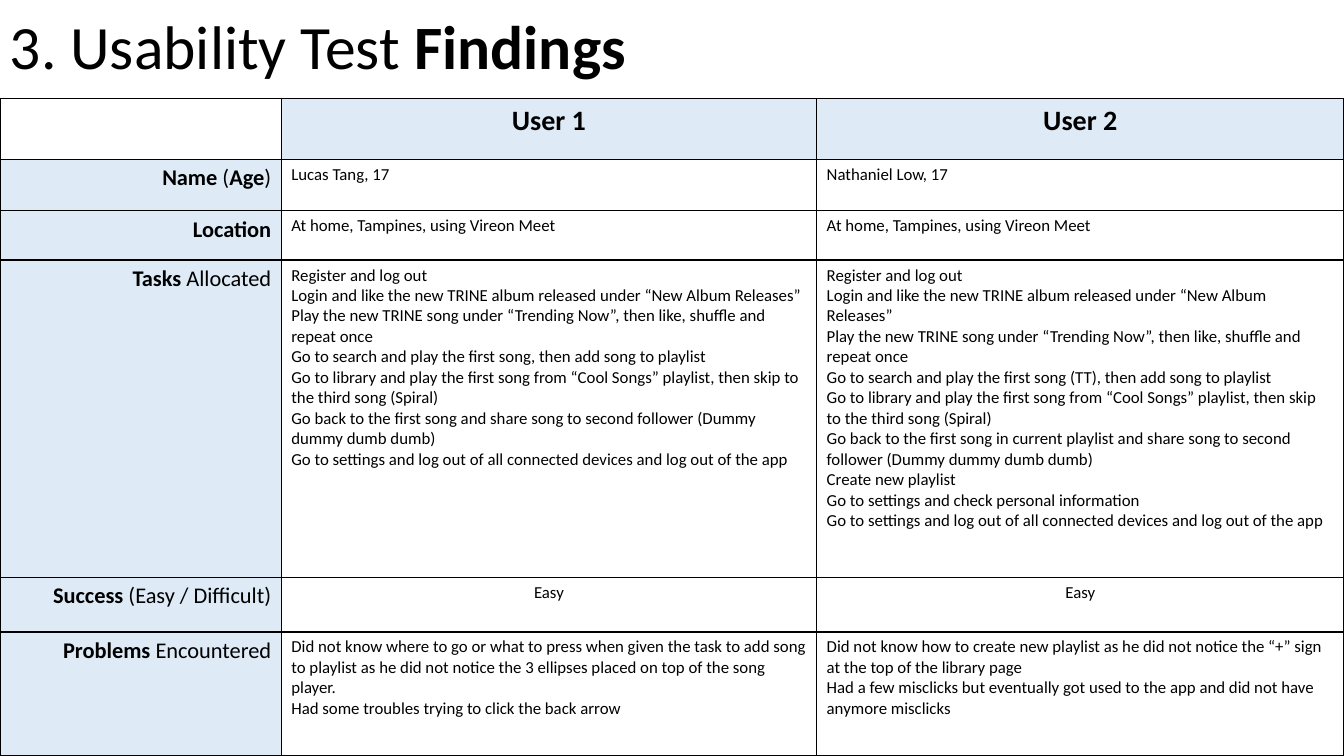
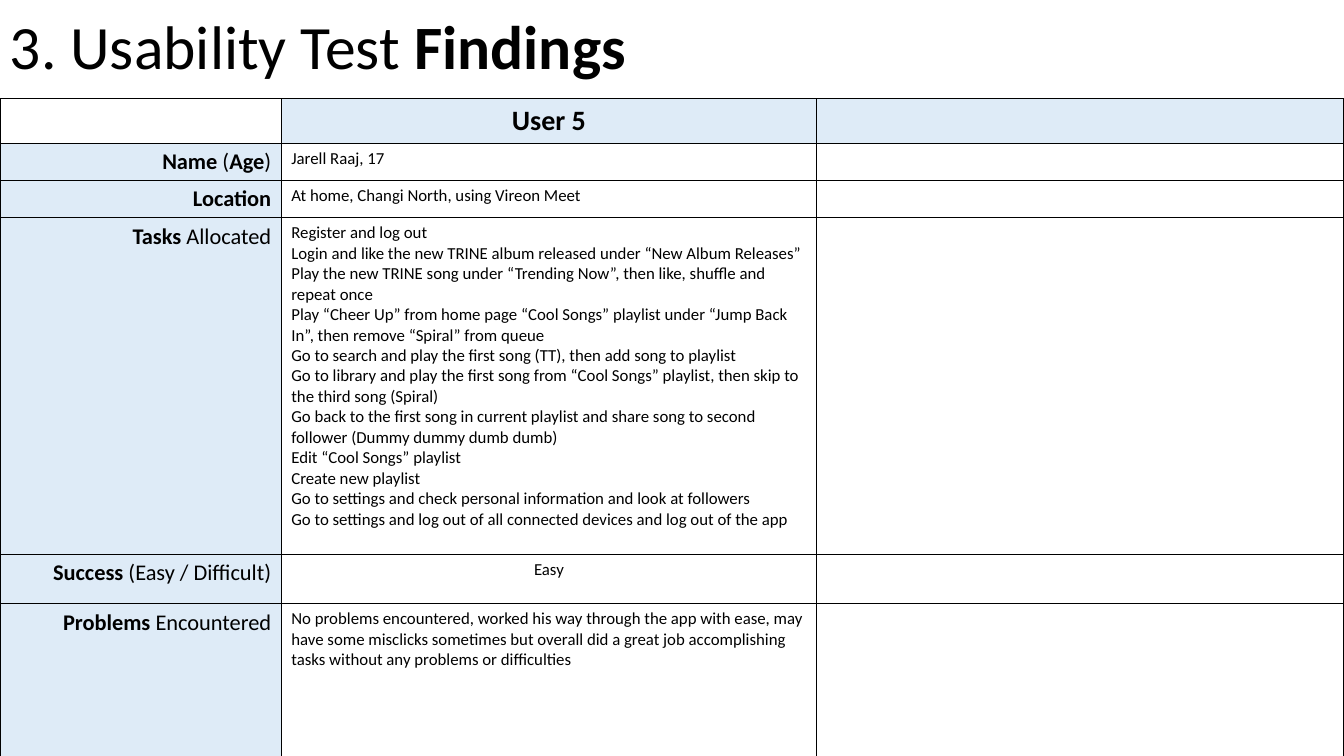
from pptx import Presentation
from pptx.dml.color import RGBColor
from pptx.enum.text import MSO_ANCHOR, PP_ALIGN
from pptx.oxml import parse_xml
from pptx.oxml.ns import nsdecls
from pptx.util import Inches, Pt

FONT, BLACK, PALE = "Calibri", "000000", "DEEBF7"
WIDTH, HEIGHT, TITLE_H = 13.33, 7.5, 0.98
COLS = [2.79, 5.31, 5.23]
LEFT, CENTER, RIGHT = PP_ALIGN.LEFT, PP_ALIGN.CENTER, PP_ALIGN.RIGHT

TITLE = [("3. Usability Test ", False), ("Findings", True)]
LABELS = [
    [("Name", True), (" (", False), ("Age", True), (")", False)],
    [("Location", True)],
    [("Tasks ", True), ("Allocated", False)],
    [("Success", True), (" (Easy / Difficult)", False)],
    [("Problems ", True), ("Encountered", False)],
]
SUCCESS_ROW = 4

START = [
    "Register and log out",
    "Login and like the new TRINE album released under “New Album Releases”",
    "Play the new TRINE song under “Trending Now”, then like, shuffle and repeat once",
]
SEARCH = "Go to search and play the first song (TT), then add song to playlist"
LIBRARY = ("Go to library and play the first song from “Cool Songs” playlist, "
           "then skip to the third song (Spiral)")
SHARE = ("Go back to the first song in current playlist and share song to second "
         "follower (Dummy dummy dumb dumb)")
CREATE = "Create new playlist"
LOG_OUT = "Go to settings and log out of all connected devices and log out of the app"

USER_1 = [
    ["User 1"],
    ["Lucas Tang, 17"],
    ["At home, Tampines, using Vireon Meet"],
    START + [
        "Go to search and play the first song, then add song to playlist",
        LIBRARY,
        "Go back to the first song and share song to second follower (Dummy dummy dumb dumb)",
        LOG_OUT,
    ],
    ["Easy"],
    ["Did not know where to go or what to press when given the task to add song to playlist "
     "as he did not notice the 3 ellipses placed on top of the song player.",
     "Had some troubles trying to click the back arrow"],
]
USER_2 = [
    ["User 2"],
    ["Nathaniel Low, 17"],
    ["At home, Tampines, using Vireon Meet"],
    START + [SEARCH, LIBRARY, SHARE, CREATE,
             "Go to settings and check personal information", LOG_OUT],
    ["Easy"],
    ["Did not know how to create new playlist as he did not notice the “+” sign "
     "at the top of the library page",
     "Had a few misclicks but eventually got used to the app and did not have "
     "anymore misclicks"],
]
USER_5 = [
    ["User 5"],
    ["Jarell Raaj, 17"],
    ["At home, Changi North, using Vireon Meet"],
    START + [
        "Play “Cheer Up” from home page “Cool Songs” playlist under “Jump Back In”, "
        "then remove “Spiral” from queue",
        SEARCH, LIBRARY, SHARE,
        "Edit “Cool Songs” playlist",
        CREATE,
        "Go to settings and check personal information and look at followers",
        LOG_OUT,
    ],
    ["Easy"],
    ["No problems encountered, worked his way through the app with ease, may have some "
     "misclicks sometimes but overall did a great job accomplishing tasks without any "
     "problems or difficulties"],
]
NO_USER = [[]] * 6

SLIDES = [
    ([0.6, 0.51, 0.49, 3.15, 0.54, 1.23], [USER_1, USER_2]),
    ([0.44, 0.37, 0.37, 3.34, 0.49, 1.52], [USER_5, NO_USER]),
]


def color(value):
    return RGBColor.from_string(value)


def write(tf, paragraphs, size, align):
    for i, runs in enumerate(paragraphs):
        p = tf.paragraphs[0] if i == 0 else tf.add_paragraph()
        p.alignment = align
        for text, bold in runs:
            r = p.add_run()
            r.text = text
            r.font.name, r.font.size, r.font.bold = FONT, Pt(size), bold
            r.font.color.rgb = color(BLACK)
    if not paragraphs:
        tf.paragraphs[0]._p.get_or_add_endParaRPr().set("sz", str(size * 100))


def add_title(s):
    tf = s.shapes.add_textbox(0, 0, Inches(WIDTH), Inches(TITLE_H)).text_frame
    tf.word_wrap = True
    tf.vertical_anchor = MSO_ANCHOR.MIDDLE
    write(tf, [TITLE], 44, LEFT)
    tf.paragraphs[0].line_spacing = 0.9


def style_cell(cell, fill):
    tcPr = cell._tc.get_or_add_tcPr()
    for side in "LRTB":
        tcPr.append(parse_xml(
            f'<a:ln{side} {nsdecls("a")} w="12700"><a:solidFill>'
            f'<a:srgbClr val="{BLACK}"/></a:solidFill></a:ln{side}>'))
    if fill:
        cell.fill.solid()
        cell.fill.fore_color.rgb = color(fill)
    else:
        cell.fill.background()


def add_findings(s, heights, users):
    table = s.shapes.add_table(len(heights), len(COLS), 0, Inches(TITLE_H),
                               Inches(WIDTH), Inches(HEIGHT - TITLE_H)).table
    table.first_row = table.horz_banding = False
    for column, width in zip(table.columns, COLS):
        column.width = Inches(width)
    for row, height in enumerate(heights):
        table.rows[row].height = Inches(height)
        label = [LABELS[row - 1]] if row else []
        cell = table.cell(row, 0)
        style_cell(cell, PALE if row else None)
        write(cell.text_frame, label, 16, RIGHT)
        for col, user in enumerate(users, 1):
            header = row == 0
            cell = table.cell(row, col)
            style_cell(cell, PALE if header else None)
            lines = [[(line, header)] for line in user[row]]
            write(cell.text_frame, lines, 20 if header else 12,
                  CENTER if row in (0, SUCCESS_ROW) else LEFT)


def main():
    prs = Presentation()
    prs.slide_width, prs.slide_height = Inches(WIDTH), Inches(HEIGHT)
    for heights, users in SLIDES:
        s = prs.slides.add_slide(prs.slide_layouts[6])
        add_title(s)
        add_findings(s, heights, users)
    prs.save("out.pptx")


if __name__ == "__main__":
    main()
